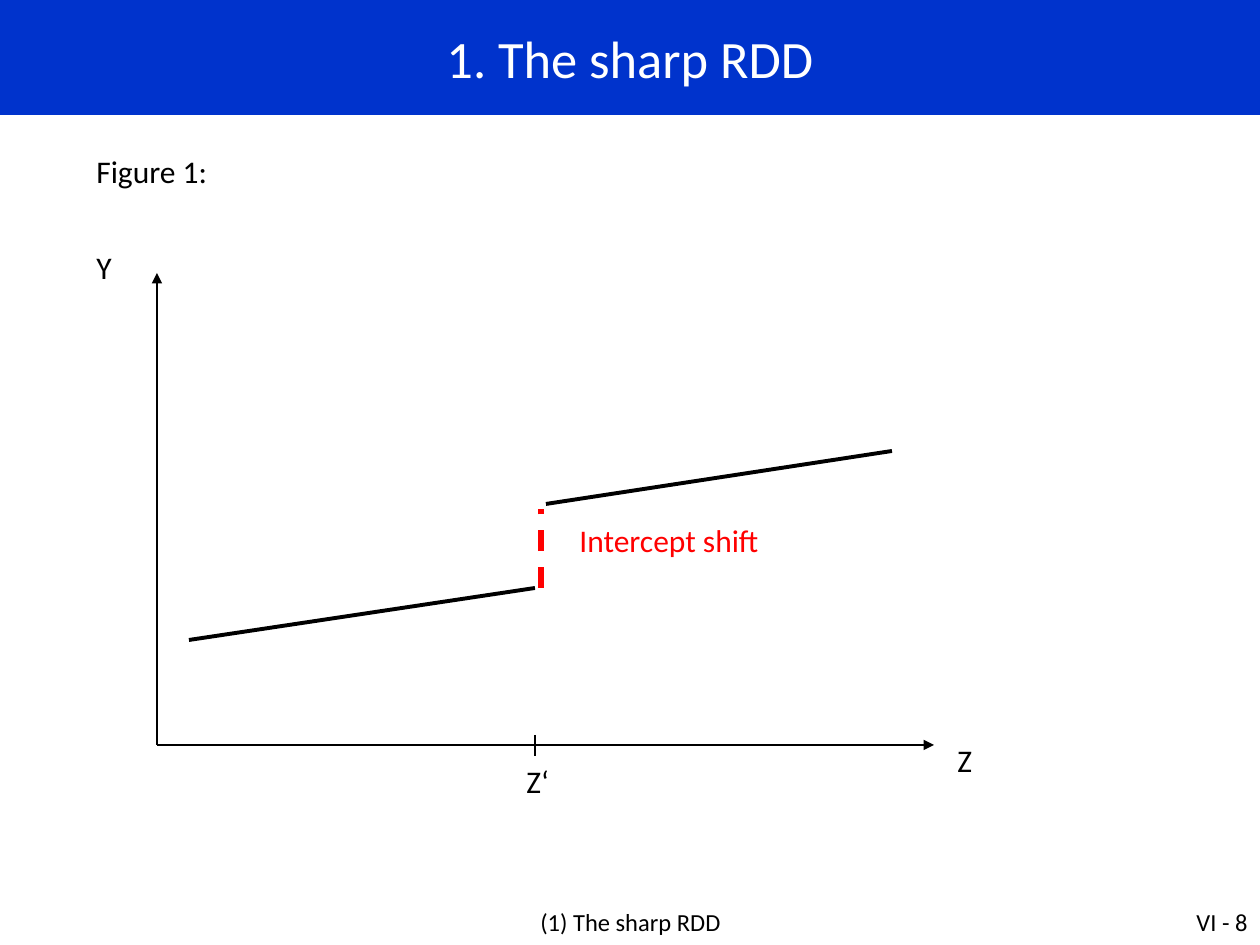
from dataclasses import dataclass
from pptx import Presentation
from pptx.dml.color import RGBColor
from pptx.enum.dml import MSO_LINE
from pptx.enum.shapes import MSO_CONNECTOR, MSO_SHAPE
from pptx.enum.text import MSO_ANCHOR, PP_ALIGN
from pptx.oxml.ns import qn
from pptx.util import Pt
from lxml.etree import SubElement


@dataclass(frozen=True)
class Theme:
    font: str = "Calibri"
    banner: str = "0033CC"
    paper: str = "FFFFFF"
    ink: str = "000000"
    accent: str = "FF0000"
    title: int = 30
    body: int = 18
    footer: int = 14
    thin: float = 0.75
    thick: float = 2.25
    dashed: float = 3


THEME = Theme()
PX = 914400 // 126
PAGE = (1260, 945)
BANNER = ("1. The sharp RDD", (0, 0, 1260, 115))
FOOTER = {"size": THEME.footer}

LABELS = [
    ("Figure 1:", (84, 136, 1062, 57), {"spacing": 1.25}),
    ("Y", (84, 242, 63, 50), {}),
    ("Z", (945, 735, 63, 50), {}),
    ("Z‘", (514, 756, 63, 50), {}),
    ("Intercept shift", (567, 515, 294, 50), {"color": THEME.accent}),
    ("(1) The sharp RDD", (305, 901, 651, 65), {"align": PP_ALIGN.CENTER, **FOOTER}),
    ("VI - 8", (966, 901, 294, 65), {"align": PP_ALIGN.RIGHT, **FOOTER}),
]

ORIGIN = (157, 745)
CUTOFF = 535
AXES = [(ORIGIN, (934, 745)), (ORIGIN, (157, 273))]
TICK = ((CUTOFF, 735), (CUTOFF, 756))
REGRESSIONS = [((189, 640), (CUTOFF, 588)), ((546, 504), (892, 451))]
SHIFT = ((541, 588), (541, 509))


def emu(values):
    return [value * PX for value in values]


def write(shape, text, size=THEME.body, color=THEME.ink, align=PP_ALIGN.LEFT,
          spacing=1.0, anchor=MSO_ANCHOR.TOP):
    frame = shape.text_frame
    frame.word_wrap = True
    frame.vertical_anchor = anchor
    para = frame.paragraphs[0]
    para.alignment = align
    para.line_spacing = spacing
    span = para.add_run()
    span.text = text
    span.font.name = THEME.font
    span.font.size = Pt(size)
    span.font.color.rgb = RGBColor.from_string(color)


def draw_line(page, ends, width, color=THEME.ink, dash=None, arrow=False):
    start, end = ends
    line = page.shapes.add_connector(MSO_CONNECTOR.STRAIGHT, *emu(start + end))
    line.line.width = Pt(width)
    line.line.color.rgb = RGBColor.from_string(color)
    if dash:
        line.line.dash_style = dash
    if arrow:
        SubElement(line.line._get_or_add_ln(), qn("a:tailEnd"), type="triangle")
    SubElement(line._element.spPr, qn("a:effectLst"))


def draw_banner(page, text, box):
    banner = page.shapes.add_shape(MSO_SHAPE.RECTANGLE, *emu(box))
    banner.shadow.inherit = False
    banner.fill.solid()
    banner.fill.fore_color.rgb = RGBColor.from_string(THEME.banner)
    banner.line.fill.background()
    write(banner, text, size=THEME.title, color=THEME.paper,
          align=PP_ALIGN.CENTER, anchor=MSO_ANCHOR.MIDDLE)


def main():
    deck = Presentation()
    deck.slide_width, deck.slide_height = emu(PAGE)
    page = deck.slides.add_slide(deck.slide_layouts[6])
    draw_banner(page, *BANNER)
    for axis in AXES:
        draw_line(page, axis, THEME.thin, arrow=True)
    draw_line(page, TICK, THEME.thin)
    for regression in REGRESSIONS:
        draw_line(page, regression, THEME.thick)
    draw_line(page, SHIFT, THEME.dashed, color=THEME.accent, dash=MSO_LINE.DASH)
    for text, box, style in LABELS:
        write(page.shapes.add_textbox(*emu(box)), text, **style)
    deck.save("out.pptx")


if __name__ == "__main__":
    main()
